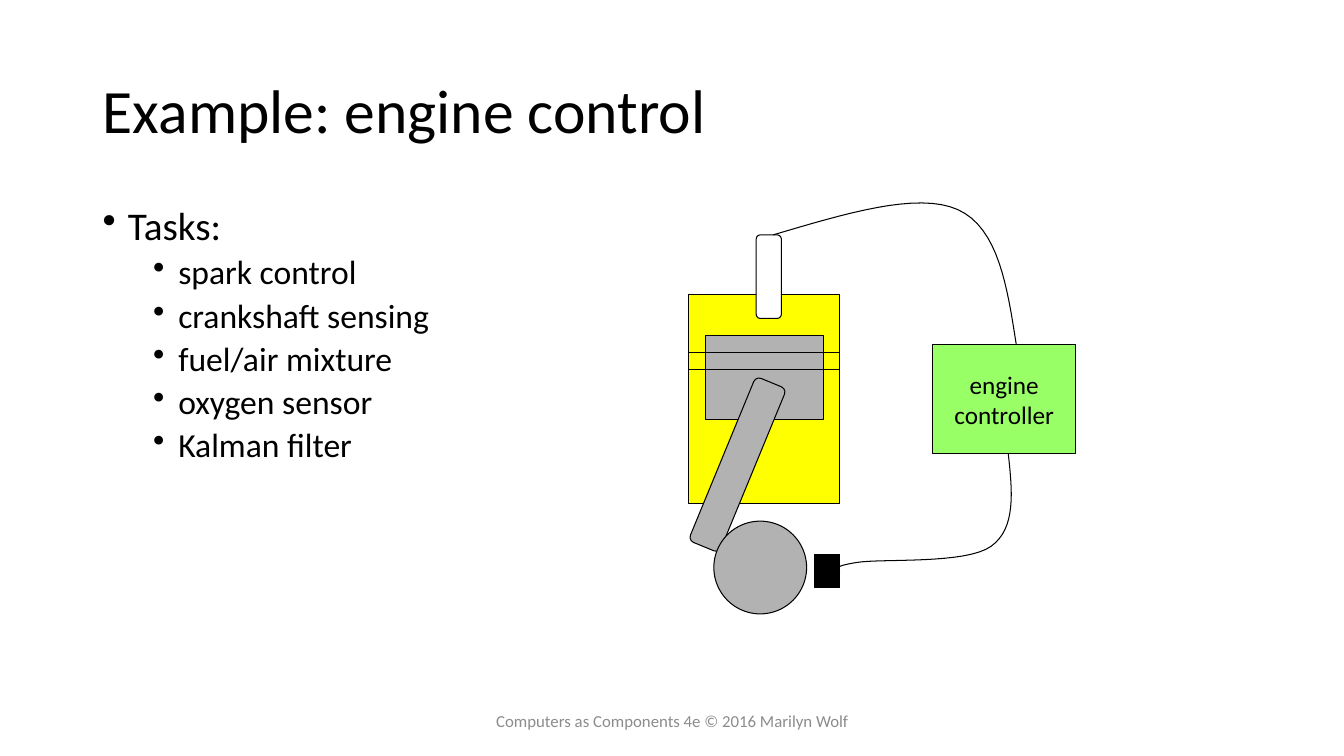
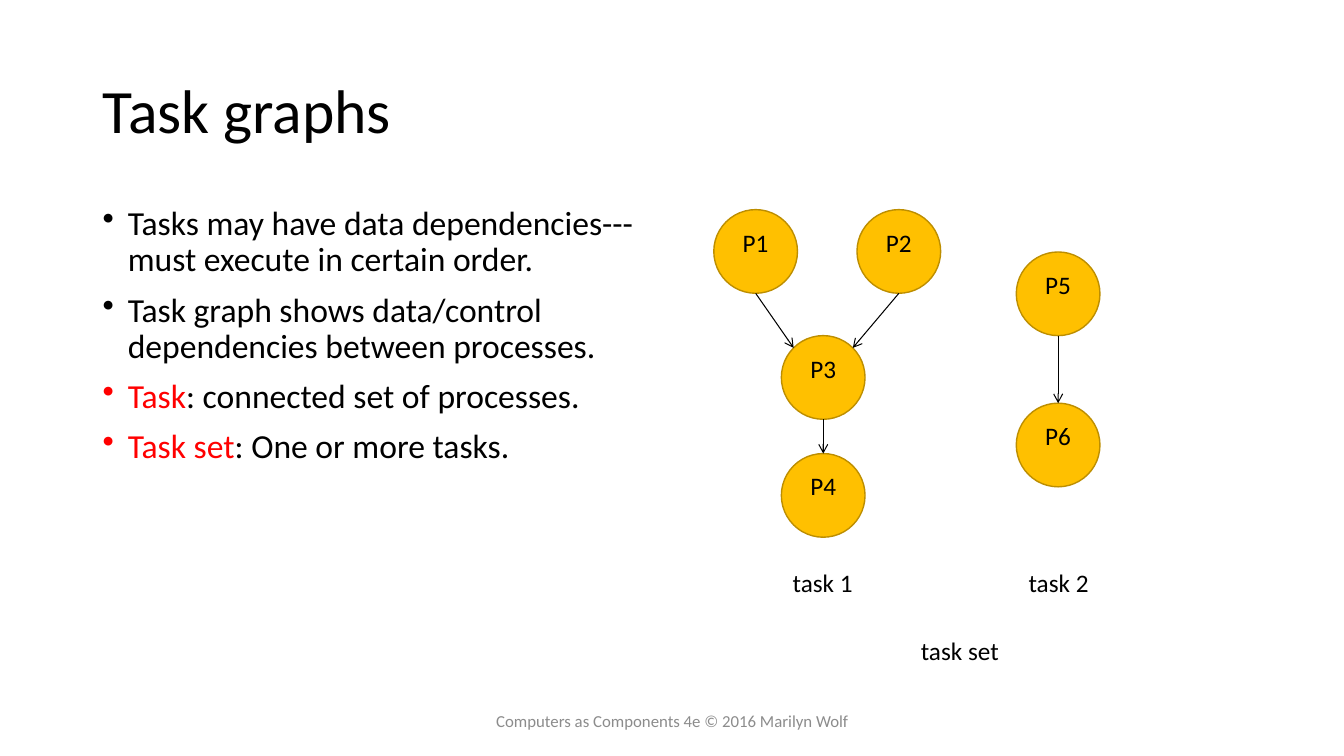
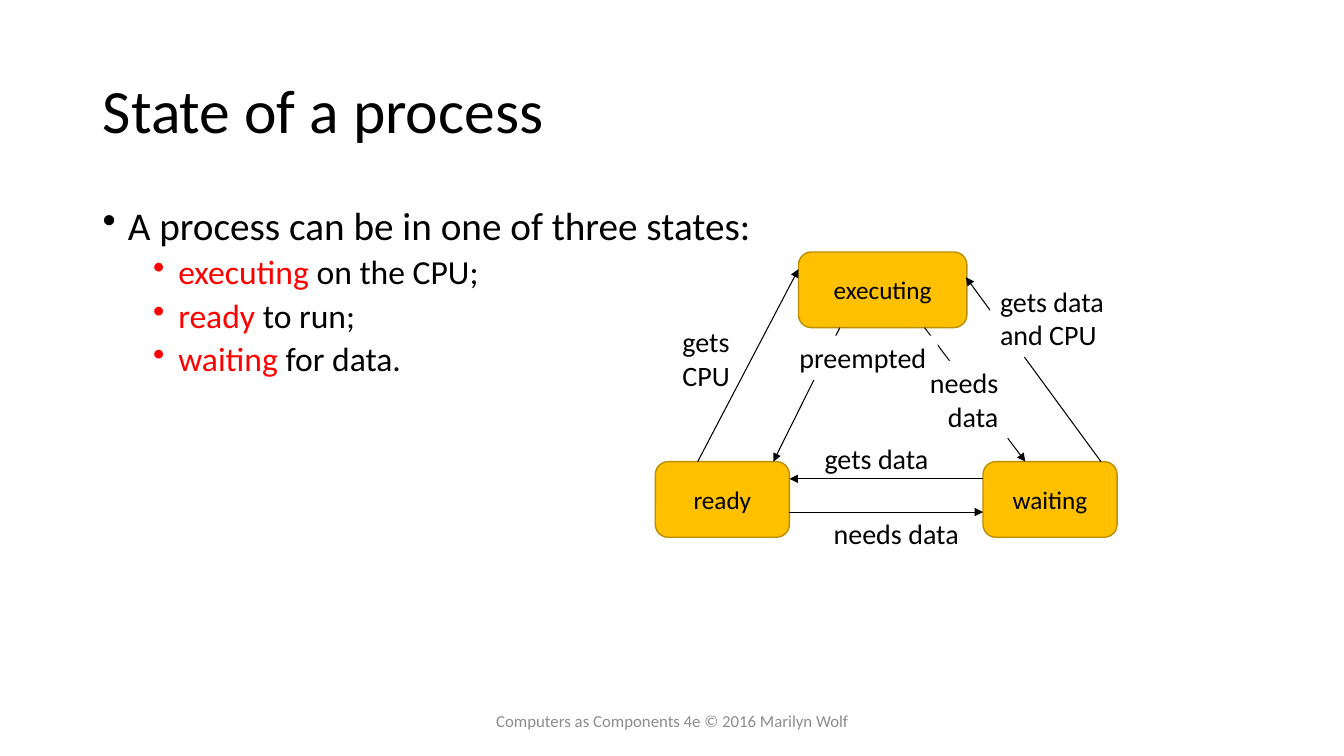
import math

from lxml import etree
from pptx import Presentation
from pptx import util as u
from pptx.dml.color import RGBColor
from pptx.enum import shapes, text
from pptx.oxml import ns

BLACK = RGBColor(0x00, 0x00, 0x00)
WHITE = RGBColor(0xFF, 0xFF, 0xFF)
RED = RGBColor(0xFF, 0x00, 0x00)
GREY = RGBColor(0xB2, 0xB2, 0xB2)
YELLOW = RGBColor(0xFF, 0xFF, 0x00)
GREEN = RGBColor(0x99, 0xFF, 0x66)
GOLD = RGBColor(0xFF, 0xC0, 0x00)
DARK_GOLD = RGBColor(0xBD, 0x8E, 0x00)
FOOTER_GREY = RGBColor(0x8C, 0x8C, 0x8C)

FONT = "Calibri"
FOOTER = "Computers as Components 4e © 2016 Marilyn Wolf"
SHAPE = shapes.MSO_SHAPE
TOP, MIDDLE = text.MSO_ANCHOR.TOP, text.MSO_ANCHOR.MIDDLE
LEFT, CENTER, RIGHT = text.PP_ALIGN.LEFT, text.PP_ALIGN.CENTER, text.PP_ALIGN.RIGHT


def inches(*lengths):
    return [u.Inches(length) for length in lengths]


def set_font(paragraph, size, color=BLACK):
    paragraph.font.name = FONT
    paragraph.font.size = u.Pt(size)
    paragraph.font.color.rgb = color


def write(frame, lines, size, color=BLACK, align=CENTER, anchor=TOP, wrap=False):
    frame.word_wrap = wrap
    frame.vertical_anchor = anchor
    for i, line in enumerate(lines.split("\n")):
        paragraph = frame.add_paragraph() if i else frame.paragraphs[0]
        paragraph.text = line
        paragraph.alignment = align
        set_font(paragraph, size, color)


def add_block(slide, kind, box, fill, line=BLACK, width=0.75, corner=None):
    block = slide.shapes.add_shape(kind, *inches(*box))
    block.shadow.inherit = False
    block.fill.solid()
    block.fill.fore_color.rgb = fill
    block.line.color.rgb = line
    block.line.width = u.Pt(width)
    if corner is not None:
        block.adjustments[0] = corner
    return block


def add_line(slide, start, end, head=None):
    line = slide.shapes.add_connector(
        shapes.MSO_CONNECTOR.STRAIGHT, *inches(*start, *end))
    line.line.color.rgb = BLACK
    line.line.width = u.Pt(0.75)
    properties = line._element.spPr
    if head:
        outline = properties.find(ns.qn("a:ln"))
        etree.SubElement(outline, ns.qn("a:tailEnd"), type=head)
    etree.SubElement(properties, ns.qn("a:effectLst"))


def add_label(slide, box, lines, size, align=LEFT, fill=None):
    label = slide.shapes.add_textbox(*inches(*box))
    if fill is not None:
        label.fill.solid()
        label.fill.fore_color.rgb = fill
    write(label.text_frame, lines, size, align=align)


def add_wire(slide, start, curves, steps=16):
    """Draw a chain of cubic curves, each given by two controls and an end."""
    points = []
    knot = start
    for corners in curves:
        for i in range(1, steps + 1):
            t = i / steps
            weights = ((1 - t) ** 3, 3 * t * (1 - t) ** 2, 3 * t * t * (1 - t), t ** 3)
            points.append(inches(*(
                sum(w * p[axis] for w, p in zip(weights, (knot, *corners)))
                for axis in (0, 1))))
        knot = corners[-1]
    builder = slide.shapes.build_freeform(*inches(*start))
    builder.add_line_segments(points, close=False)
    wire = builder.convert_to_shape()
    wire.shadow.inherit = False
    wire.fill.background()
    wire.line.color.rgb = BLACK
    wire.line.width = u.Pt(0.75)


# Parts shared by every slide
def start_slide(deck, heading):
    slide = deck.slides.add_slide(deck.slide_layouts[5])
    title = slide.shapes.title
    title.left, title.top, title.width, title.height = inches(0.92, 0.4, 11.5, 1.45)
    write(title.text_frame, heading, 44, align=LEFT, anchor=MIDDLE, wrap=True)
    title.text_frame.auto_size = text.MSO_AUTO_SIZE.NONE
    title.text_frame.paragraphs[0].line_spacing = 0.9
    footer = slide.shapes.add_textbox(*inches(4.42, 6.95, 4.5, 0.4))
    write(footer.text_frame, FOOTER, 12, FOOTER_GREY, anchor=MIDDLE, wrap=True)
    return slide


def add_bullets(slide, items, top_size=28, width=5.67):
    """Each item is a level, a red term (may be empty) and the rest."""
    frame = slide.shapes.add_textbox(*inches(0.92, 2, width, 4.76)).text_frame
    frame.word_wrap = True
    for i, (level, term, rest) in enumerate(items):
        paragraph = frame.add_paragraph() if i else frame.paragraphs[0]
        paragraph.level = level
        properties = paragraph._p.get_or_add_pPr()
        properties.set("marL", str(u.Inches(0.25 + 0.5 * level)))
        properties.set("indent", str(u.Inches(-0.25)))
        bullet_color = etree.SubElement(properties, ns.qn("a:buClr"))
        etree.SubElement(bullet_color, ns.qn("a:srgbClr"),
                         val=str(RED if term else BLACK))
        etree.SubElement(properties, ns.qn("a:buChar"), char="•")
        paragraph.line_spacing = 0.9
        paragraph.space_before = u.Pt((5 if level else 10) if i else 0)
        set_font(paragraph, 24 if level else top_size)
        if term:
            run = paragraph.add_run()
            run.text = term
            run.font.color.rgb = RED
        paragraph.add_run().text = rest


def draw_engine(slide, left, top):
    def at(x, y):
        return left + x, top + y

    # Cylinder, piston and rings
    add_block(slide, SHAPE.RECTANGLE, (*at(0, 1.02), 1.5, 2.08), YELLOW)
    add_block(slide, SHAPE.RECTANGLE, (*at(0.17, 1.43), 1.17, 0.83), GREY)
    for ring in (1.6, 1.77):
        add_line(slide, at(0, ring), at(1.5, ring))
    # Spark plug, rod, crankshaft and its sensor
    add_block(slide, SHAPE.ROUNDED_RECTANGLE, (*at(0.67, 0.43), 0.25, 0.83),
              WHITE, corner=0.17)
    rod = add_block(slide, SHAPE.ROUNDED_RECTANGLE, (*at(0.32, 1.83), 0.33, 1.76),
                    GREY, corner=0.17)
    rod.rotation = 22.4
    add_block(slide, SHAPE.OVAL, (*at(0.25, 3.27), 0.92, 0.92), GREY)
    add_block(slide, SHAPE.RECTANGLE, (*at(1.25, 3.6), 0.25, 0.33), BLACK)
    # Controller and its wires
    controller = add_block(slide, SHAPE.RECTANGLE, (*at(2.42, 1.52), 1.42, 1.08), GREEN)
    write(controller.text_frame, "engine\ncontroller", 18, anchor=MIDDLE)
    add_wire(slide, at(1.5, 3.77), [
        (at(1.46, 3.75), at(1.42, 3.72), at(1.67, 3.68)),
        (at(1.92, 3.64), at(2.75, 3.7), at(3, 3.52)),
        (at(3.25, 3.34), at(3.21, 2.97), at(3.17, 2.6))])
    add_wire(slide, at(0.84, 0.43), [
        (at(1.55, 0.22), at(2.27, 0), at(2.67, 0.18)),
        (at(3.07, 0.36), at(3.16, 0.94), at(3.25, 1.52))])


def draw_task_graph(slide, left, top, size=0.83):
    radius = size / 2
    corners = {"P1": (0, 0), "P2": (1.42, 0), "P3": (0.67, 1.25),
               "P4": (0.67, 2.42), "P5": (3, 0.42), "P6": (3, 1.92)}
    for name, (x, y) in corners.items():
        process = add_block(slide, SHAPE.OVAL, (left + x, top + y, size, size),
                            GOLD, DARK_GOLD, 1)
        write(process.text_frame, name, 18, wrap=True)

    def rim(name, degrees):
        """Point on a process's edge, with the angle measured from the top."""
        x, y = corners[name]
        angle = math.radians(degrees)
        return (left + x + radius * (1 + math.sin(angle)),
                top + y + radius * (1 - math.cos(angle)))

    for source, target, degrees in (("P1", "P3", -45), ("P2", "P3", 45),
                                    ("P3", "P4", 0), ("P5", "P6", 0)):
        add_line(slide, rim(source, 180), rim(target, degrees), "arrow")
    for x, y, width, name in ((0.68, 3.5, 0.8, "task 1"), (3.02, 3.5, 0.8, "task 2"),
                              (1.95, 4.17, 0.98, "task set")):
        add_label(slide, (left + x, top + y, width, 0.4), name, 18, CENTER)


def draw_states(slide, left, top):
    def at(x, y):
        return left + x, top + y

    for x, y, width, name in ((1.42, 0, 1.67, "executing"), (0, 2.08, 1.33, "ready"),
                              (3.25, 2.08, 1.33, "waiting")):
        state = add_block(slide, SHAPE.ROUNDED_RECTANGLE, (*at(x, y), width, 0.75),
                          GOLD, DARK_GOLD, 1, corner=0.17)
        write(state.text_frame, name, 18, anchor=MIDDLE)
    # Transitions
    for start, end in (((1.83, 0.75), (1.17, 2.08)), ((0.42, 2.08), (1.42, 0.17)),
                       ((1.33, 2.58), (3.25, 2.58)), ((3.25, 2.25), (1.33, 2.25)),
                       ((2.67, 0.75), (3.67, 2.08)), ((4.42, 2.08), (3.08, 0.25))):
        add_line(slide, at(*start), at(*end), "triangle")
    # Transition labels; the white ones interrupt their arrows
    for x, y, width, height, name, align, fill in (
            (3.32, 0.27, 1.24, 0.77, "gets data\nand CPU", LEFT, WHITE),
            (2.61, 1.08, 0.89, 0.77, "needs\ndata", RIGHT, WHITE),
            (1.58, 1.83, 1.24, 0.44, "gets data", LEFT, None),
            (1.67, 2.58, 1.46, 0.44, "needs data", LEFT, None),
            (1.33, 0.83, 1.47, 0.44, "preempted", LEFT, WHITE),
            (0.17, 0.67, 0.68, 0.77, "gets\nCPU", LEFT, None)):
        add_label(slide, (*at(x, y), width, height), name, 20, align, fill)


def main():
    deck = Presentation()
    deck.slide_width, deck.slide_height = inches(13.33, 7.5)

    engine = start_slide(deck, "Example: engine control")
    tasks = ("spark control", "crankshaft sensing", "fuel/air mixture",
             "oxygen sensor", "Kalman filter")
    add_bullets(engine, [(0, "", "Tasks:"), *((1, "", task) for task in tasks)])
    draw_engine(engine, 6.83, 1.9)

    graphs = start_slide(deck, "Task graphs")
    add_bullets(graphs, [
        (0, "", "Tasks may have data dependencies---must execute in certain order."),
        (0, "", "Task graph shows data/control dependencies between processes."),
        (0, "Task", ": connected set of processes."),
        (0, "Task set", ": One or more tasks.")], top_size=24)
    draw_task_graph(graphs, 7.08, 2.08)

    states = start_slide(deck, "State of a process")
    add_bullets(states, [
        (0, "", "A process can be in one of three states:"),
        (1, "executing", " on the CPU;"),
        (1, "ready", " to run;"),
        (1, "waiting", " for data.")], width=6.8)
    draw_states(states, 6.5, 2.5)

    deck.save("out.pptx")


if __name__ == "__main__":
    main()
